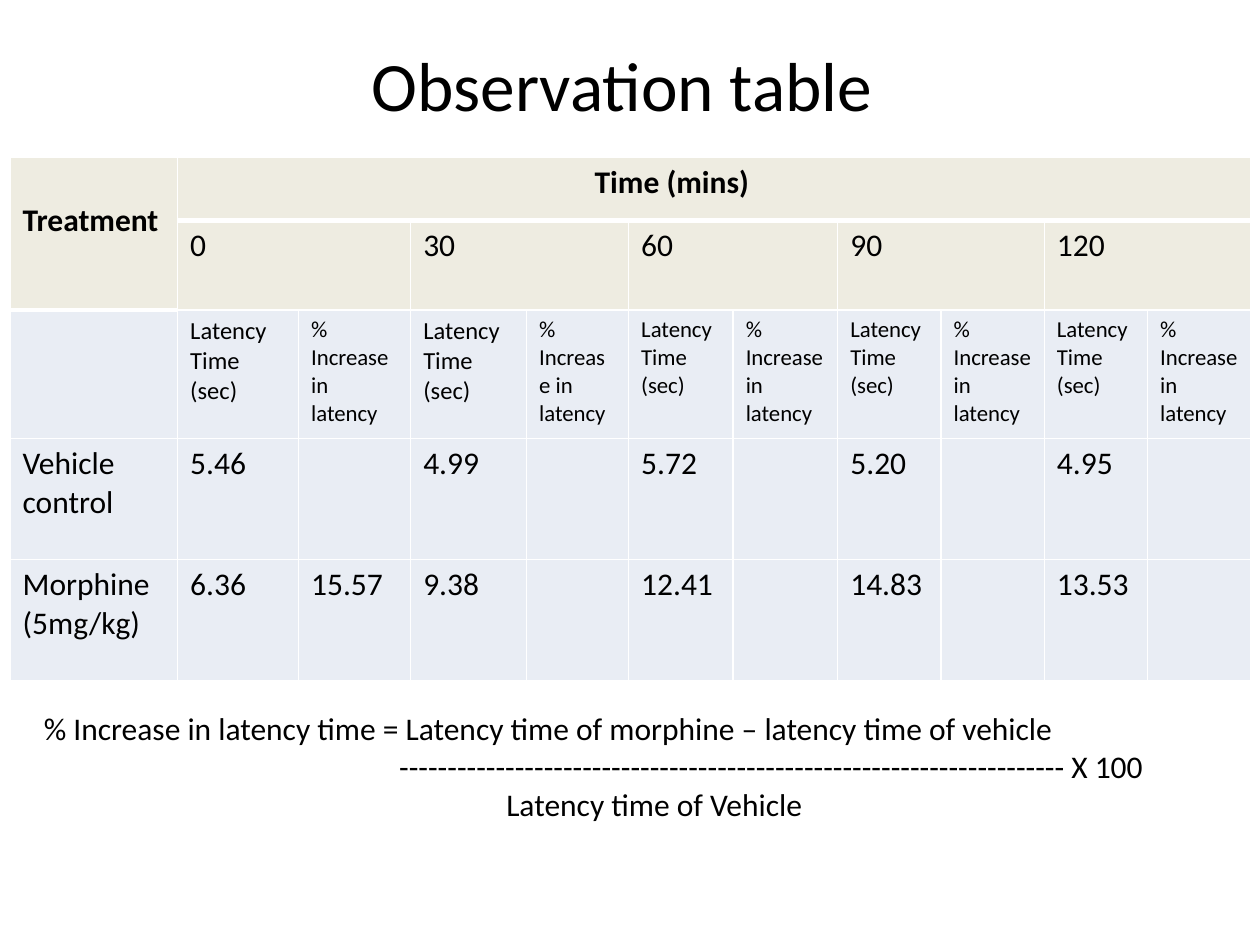
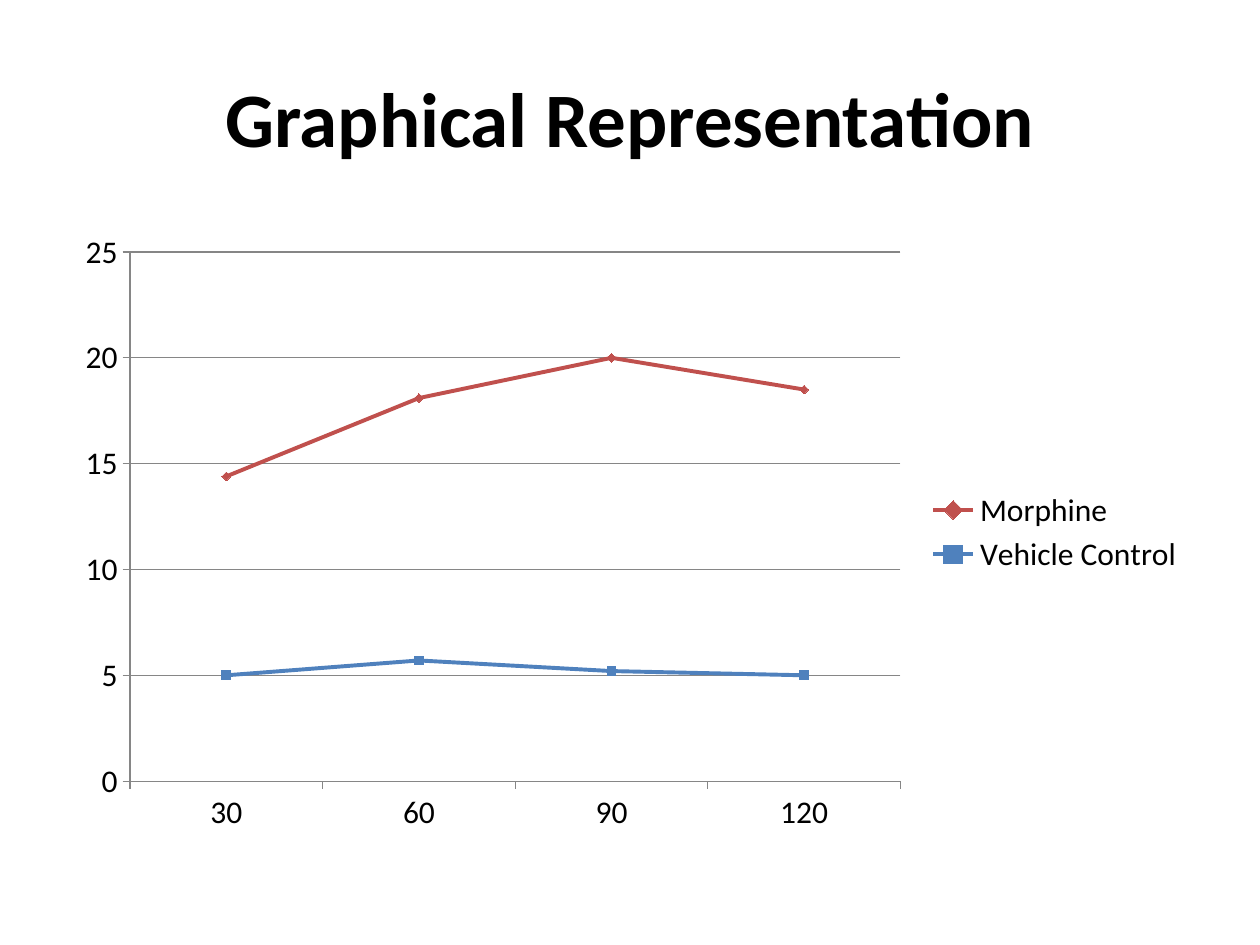
from lxml.etree import SubElement
from pptx import Presentation
from pptx.chart.data import CategoryChartData
from pptx.dml.color import RGBColor
from pptx.enum.chart import XL_CHART_TYPE, XL_LEGEND_POSITION, XL_MARKER_STYLE, XL_TICK_MARK
from pptx.enum.text import MSO_ANCHOR, PP_ALIGN
from pptx.oxml.ns import qn
from pptx.util import Inches, Pt

FONT = "Calibri"
BLACK = RGBColor(0x00, 0x00, 0x00)
WHITE = RGBColor(0xFF, 0xFF, 0xFF)
CREAM = RGBColor(0xEE, 0xEC, 0xE1)
PALE_BLUE = RGBColor(0xE9, 0xED, 0xF4)
BLUE = RGBColor(0x4F, 0x81, 0xBD)
RED = RGBColor(0xC0, 0x50, 0x4D)
GREY = RGBColor(0x86, 0x86, 0x86)

COL_WIDTHS = [1.33, 0.96, 0.89, 0.92, 0.81, 0.83, 0.83, 0.82, 0.82, 0.82, 0.82]
ROW_HEIGHTS = [0.5, 0.71, 1.02, 0.96, 0.96]
TIMES = ["0", "30", "60", "90", "120"]
LATENCIES = {
    "Vehicle control": ["5.46", "4.99", "5.72", "5.20", "4.95"],
    "Morphine\n(5mg/kg)": ["6.36", "9.38", "12.41", "14.83", "13.53"],
}
FIRST_INCREASE = "15.57"


def style_font(font, size, bold=False):
    font.name, font.size, font.bold = FONT, Pt(size), bold
    font.color.rgb = BLACK


def write(tf, text, size=18, bold=False):
    tf.text = text
    for p in tf.paragraphs:
        for r in p.runs:
            style_font(r.font, size, bold)


def add_text(s, box, text, size=18, bold=False):
    tf = s.shapes.add_textbox(*map(Inches, box)).text_frame
    tf.word_wrap = True
    write(tf, text, size, bold)
    return tf


def add_title(s, box, text, size, bold=False):
    tf = add_text(s, box, text, size, bold)
    tf.vertical_anchor = MSO_ANCHOR.MIDDLE
    tf.paragraphs[0].alignment = PP_ALIGN.CENTER


def set_borders(cell, widths):
    """Draw white borders; widths maps L, R, T, B to points, in that order."""
    tc_pr = cell._tc.get_or_add_tcPr()
    for position, (side, width) in enumerate(widths.items()):
        ln = tc_pr.makeelement(qn(f"a:ln{side}"), {"w": str(Pt(width))})
        fill = SubElement(ln, qn("a:solidFill"))
        SubElement(fill, qn("a:srgbClr"), val=str(WHITE))
        tc_pr.insert(position, ln)


def add_observations(s, left, top):
    width, height = sum(COL_WIDTHS), sum(ROW_HEIGHTS)
    table = s.shapes.add_table(len(ROW_HEIGHTS), len(COL_WIDTHS),
                               *map(Inches, (left, top, width, height))).table
    table.horz_banding = False
    for column, w in zip(table.columns, COL_WIDTHS):
        column.width = Inches(w)
    for row, h in zip(table.rows, ROW_HEIGHTS):
        row.height = Inches(h)

    # Fills and borders, with a thick rule under the header
    for i, row in enumerate(table.rows):
        for j, cell in enumerate(row.cells):
            cell.fill.solid()
            cell.fill.fore_color.rgb = CREAM if i < 2 else PALE_BLUE
            widths = {"L": 1, "R": 1}
            if i == 0:
                widths["T"] = 1
            widths["B"] = 3 if i == 0 or (i, j) == (1, 0) else 1
            set_borders(cell, widths)

    # Header cells
    treatment, time = table.cell(0, 0), table.cell(0, 1)
    treatment.merge(table.cell(1, 0))
    treatment.margin_top = Inches(0.35)
    write(treatment.text_frame, "Treatment", bold=True)
    time.merge(table.cell(0, len(COL_WIDTHS) - 1))
    time.margin_left = Inches(3.31)
    write(time.text_frame, "Time (mins)", bold=True)

    # A pair of columns for each time
    for k, minutes in enumerate(TIMES):
        j = 1 + 2 * k
        table.cell(1, j).merge(table.cell(1, j + 1))
        write(table.cell(1, j).text_frame, minutes)
        write(table.cell(2, j).text_frame, "Latency\nTime\n(sec)", 14 if k < 2 else 13)
        write(table.cell(2, j + 1).text_frame, "%\nIncrease in\nlatency", 13)

    # Measurements
    for i, (group, latencies) in enumerate(LATENCIES.items(), start=3):
        write(table.cell(i, 0).text_frame, group)
        for k, latency in enumerate(latencies):
            write(table.cell(i, 1 + 2 * k).text_frame, latency)
    write(table.cell(4, 2).text_frame, FIRST_INCREASE)


def add_formula(s, box):
    lines = ["% Increase in latency time = Latency time of morphine – latency time of vehicle",
             "-" * 69 + " X 100",
             "Latency time of Vehicle"]
    tf = add_text(s, box, "\n".join(lines))
    for p, indent in zip(tf.paragraphs, (0, 2.82, 3.67)):
        p._p.get_or_add_pPr().set("marL", str(Inches(indent)))


def add_latency_chart(s, box):
    data = CategoryChartData()
    data.categories = TIMES[1:]
    data.add_series("Vehicle Control", (5, 5.7, 5.2, 5))
    data.add_series("Morphine", (9.4, 12.4, 14.8, 13.5))
    chart = s.shapes.add_chart(XL_CHART_TYPE.LINE_MARKERS_STACKED,
                               *map(Inches, box), data).chart
    style_font(chart.font, 18)
    chart.has_title = False
    chart.has_legend = True
    chart.legend.position = XL_LEGEND_POSITION.RIGHT
    chart.legend.include_in_layout = False

    # Axes
    for axis in (chart.category_axis, chart.value_axis):
        axis.major_tick_mark = XL_TICK_MARK.OUTSIDE
        axis.minor_tick_mark = XL_TICK_MARK.NONE
        axis.format.line.color.rgb = GREY
    values = chart.value_axis
    values.minimum_scale, values.maximum_scale, values.major_unit = 0, 25, 5
    values.has_major_gridlines = True
    values.major_gridlines.format.line.color.rgb = GREY

    # Series
    plot = chart.plots[0]
    plot.vary_by_categories = False
    looks = ((BLUE, XL_MARKER_STYLE.SQUARE), (RED, XL_MARKER_STYLE.DIAMOND))
    for series, (color, marker) in zip(plot.series, looks):
        series.smooth = False
        series.format.line.color.rgb = color
        series.format.line.width = Pt(2.25)
        series.marker.style, series.marker.size = marker, 5
        series.marker.format.fill.solid()
        series.marker.format.fill.fore_color.rgb = color
        series.marker.format.line.color.rgb = color


def build_table_slide(s):
    add_title(s, (0.5, 0.3, 9, 0.73), "Observation table ", 39.6)
    add_observations(s, 0.08, 1.25)
    add_formula(s, (0.25, 5.58, 9.67, 1.01))


def build_chart_slide(s):
    add_title(s, (0.5, 0.3, 9, 1.25), "Graphical Representation", 44, bold=True)
    add_latency_chart(s, (0.5, 1.75, 9, 4.95))


def main():
    prs = Presentation()
    prs.slide_width, prs.slide_height = Inches(10), Inches(7.5)
    for build in (build_table_slide, build_chart_slide):
        build(prs.slides.add_slide(prs.slide_layouts[6]))
    prs.save("out.pptx")


if __name__ == "__main__":
    main()
